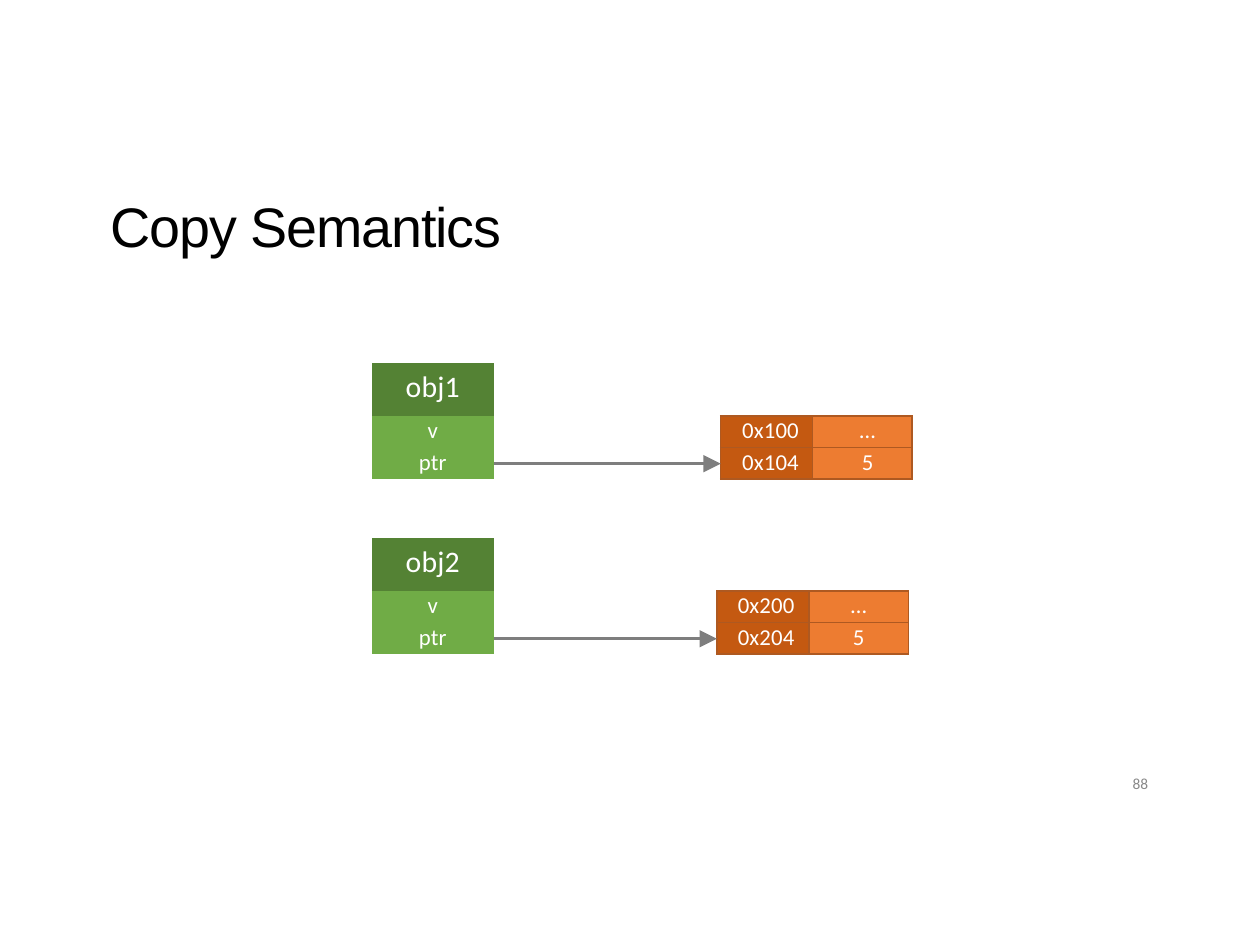
from lxml import etree
from pptx import Presentation
from pptx.dml.color import RGBColor
from pptx.enum.shapes import MSO_CONNECTOR
from pptx.enum.text import PP_ALIGN
from pptx.oxml.ns import qn
from pptx.util import Inches, Pt

BLACK = RGBColor(0x00, 0x00, 0x00)
WHITE = RGBColor(0xFF, 0xFF, 0xFF)
DARK_GREEN = RGBColor(0x54, 0x82, 0x34)
GREEN = RGBColor(0x70, 0xAC, 0x46)
DARK_ORANGE = RGBColor(0xC4, 0x59, 0x11)
ORANGE = RGBColor(0xED, 0x7C, 0x31)
BROWN = RGBColor(0xAE, 0x59, 0x21)
ARROW_GRAY = RGBColor(0x7E, 0x7E, 0x7E)
NUMBER_GRAY = RGBColor(0x89, 0x89, 0x89)


def write(frame, text, size, color, font="Calibri", align=PP_ALIGN.LEFT,
          left=0, top=0, spacing=0, line_height=None):
    """Fill a frame or cell text; spacing is in points between letters."""
    frame.margin_left, frame.margin_top = Inches(left), Inches(top)
    frame.margin_right = frame.margin_bottom = 0
    paragraph = frame.paragraphs[0]
    paragraph.alignment = align
    if line_height:
        paragraph.line_spacing = Pt(line_height)
    run = paragraph.add_run()
    run.text = text
    run.font.name, run.font.size = font, Pt(size)
    run.font.color.rgb = color
    run._r.get_or_add_rPr().set("spc", str(round(spacing * 100)))


def add_grid(x, y, columns, rows, cells, border=None):
    """Add a table; each cell is (text, size, fill, left inset, top inset)."""
    grid = slide.shapes.add_table(
        len(rows), len(columns), Inches(x), Inches(y),
        Inches(sum(columns)), Inches(sum(rows))).table
    grid.first_row = grid.horz_banding = False
    for column, width in zip(grid.columns, columns):
        column.width = Inches(width)
    for row, height in zip(grid.rows, rows):
        row.height = Inches(height)
    for cell, (text, size, fill, left, top) in zip(grid.iter_cells(), cells):
        write(cell.text_frame, text, size, WHITE, align=PP_ALIGN.CENTER, spacing=0.1)
        cell.margin_left, cell.margin_top = Inches(left), Inches(top)
        cell.margin_right = cell.margin_bottom = 0
        properties = cell._tc.get_or_add_tcPr()
        for side in ("a:lnL", "a:lnR", "a:lnT", "a:lnB"):
            line = etree.SubElement(properties, qn(side), w=str(Pt(1)))
            if border:
                paint = etree.SubElement(line, qn("a:solidFill"))
                etree.SubElement(paint, qn("a:srgbClr"), val=str(border))
            else:
                etree.SubElement(line, qn("a:noFill"))
        cell.fill.solid()
        cell.fill.fore_color.rgb = fill


presentation = Presentation()
presentation.slide_width, presentation.slide_height = Inches(10), Inches(7.5)
slide = presentation.slides.add_slide(presentation.slide_layouts[6])

title = slide.shapes.add_textbox(Inches(0.88), Inches(1.5), Inches(4.54), Inches(0.55))
title.text_frame.word_wrap = True
write(title.text_frame, "Copy Semantics", 31.8, BLACK, font="Arial", top=0.02, spacing=-0.65)

OBJECT_LEFT, OBJECT_WIDTH = 2.95, 0.97
# object, top, memory left, memory rows, left insets of address and value
objects = [
    ("obj1", 2.88, 5.72, [("0x100", "…"), ("0x104", "5")], 0.06, 0.08),
    ("obj2", 4.27, 5.69, [("0x200", "…"), ("0x204", "5")], 0.05, 0),
]
for name, top, memory_left, memory, address_inset, value_inset in objects:
    add_grid(OBJECT_LEFT, top, [OBJECT_WIDTH], [0.42, 0.25, 0.25],
             [(name, 17, DARK_GREEN, 0, 0.05),
              ("v", 13, GREEN, 0, 0.01),
              ("ptr", 13, GREEN, 0, 0.01)])
    memory_cells = []
    for address, value in memory:
        memory_cells += [(address, 13, DARK_ORANGE, address_inset, 0.01),
                         (value, 13, ORANGE, value_inset, 0.01)]
    add_grid(memory_left, top + 0.42, [0.73, 0.79], [0.25, 0.25], memory_cells, border=BROWN)

    pointer_y = Inches(top + 0.8)
    pointer = slide.shapes.add_connector(
        MSO_CONNECTOR.STRAIGHT, Inches(OBJECT_LEFT + OBJECT_WIDTH), pointer_y,
        Inches(memory_left), pointer_y)
    pointer.line.color.rgb = ARROW_GRAY
    pointer.line.width = Pt(1.5)
    etree.SubElement(pointer.line._get_or_add_ln(), qn("a:tailEnd"),
                     type="triangle", w="lg", len="lg")
    etree.SubElement(pointer._element.spPr, qn("a:effectLst"))

page_number = slide.shapes.add_textbox(Inches(8.98), Inches(6.16), Inches(0.17), Inches(0.13))
write(page_number.text_frame, "88", 8.8, NUMBER_GRAY, left=0.01, line_height=9.2)

presentation.save("out.pptx")
